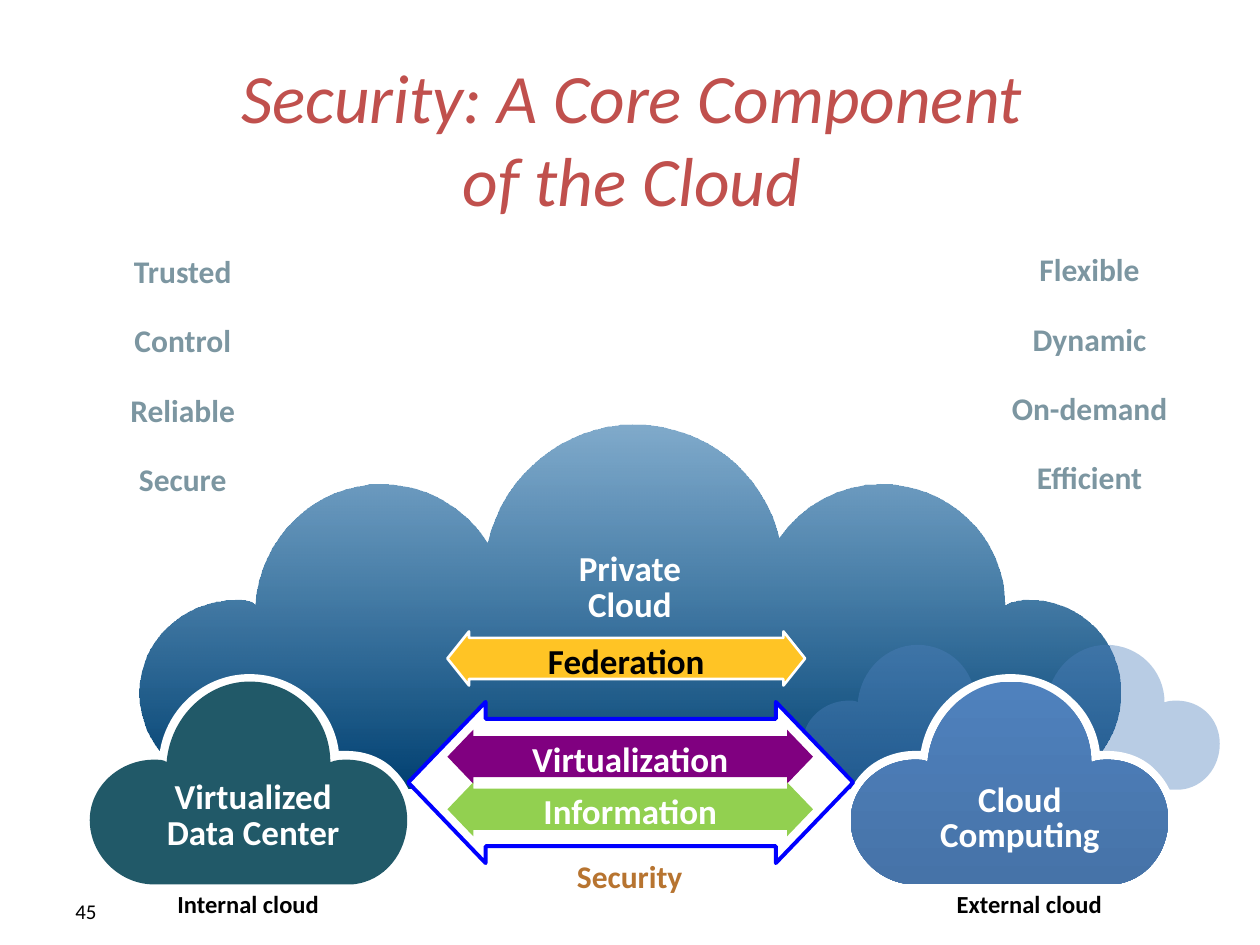
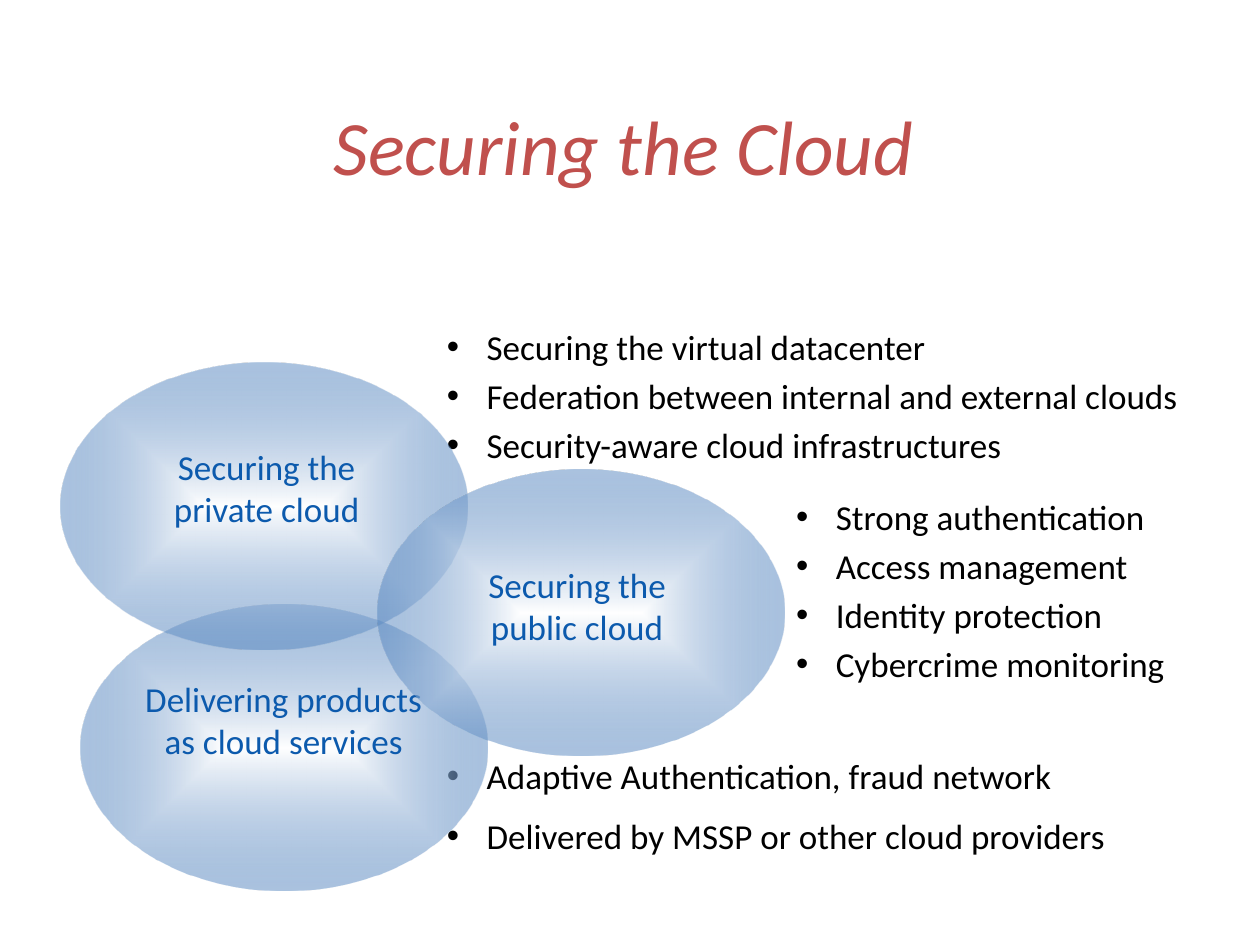
from dataclasses import dataclass

from lxml import etree
from pptx import Presentation
from pptx.dml.color import RGBColor
from pptx.enum.shapes import MSO_SHAPE
from pptx.enum.text import MSO_ANCHOR, PP_ALIGN
from pptx.oxml.ns import nsdecls, qn
from pptx.oxml import parse_xml
from pptx.util import Cm, Pt

LEFT, CENTER = PP_ALIGN.LEFT, PP_ALIGN.CENTER
TOP, MIDDLE = MSO_ANCHOR.TOP, MSO_ANCHOR.MIDDLE
DOUBLE_ARROW, ELLIPSE = MSO_SHAPE.LEFT_RIGHT_ARROW, MSO_SHAPE.OVAL


@dataclass(frozen=True)
class Theme:
    font: str = "Calibri"
    title: str = "C0504D"
    black: str = "000000"
    white: str = "FFFFFF"
    quality: str = "7C96A1"
    security: str = "B77430"
    topic: str = "0C5AAD"
    sky: str = "005596"
    deep_sky: str = "004172"
    external: str = "4F81BD"
    external_dark: str = "4673A8"
    internal: str = "215968"
    frame: str = "0000FF"
    virtualization: str = "800080"
    information: str = "92D050"
    federation: str = "FFC425"
    title_size: float = 44
    long_title_size: float = 39.6
    body_size: float = 20
    quality_size: float = 18
    caption_size: float = 14
    number_size: float = 12


THEME = Theme()
DOWNWARD = '<a:lin ang="5400000" scaled="0"/>'
FROM_CENTRE = ('<a:path path="shape"><a:fillToRect l="50000" t="50000" '
               'r="50000" b="50000"/></a:path>')

# Outlines: width, height, start point, then curves (6 numbers) or lines (2).
PRIVATE_CLOUD = (778, 289, (705, 139), (
    (699, 139, 692, 139, 686, 143), (686, 89, 641, 47, 587, 47),
    (555, 47, 525, 64, 507, 90), (495, 38, 448, 0, 391, 0),
    (337, 0, 288, 40, 276, 94), (259, 66, 227, 47, 191, 47),
    (140, 47, 95, 89, 92, 143), (89, 139, 83, 139, 76, 139),
    (35, 139, 0, 171, 0, 213), (0, 254, 35, 289, 76, 289), (711, 289),
    (749, 286, 778, 251, 778, 213), (778, 171, 746, 139, 705, 139)))
SMALL_CLOUD = (252, 161, (252, 110), (
    (252, 83, 232, 62, 204, 62), (200, 62, 196, 62, 191, 64),
    (191, 28, 162, 0, 127, 0), (93, 0, 64, 28, 61, 64),
    (59, 62, 55, 62, 51, 62), (24, 62, 0, 83, 0, 110),
    (0, 138, 24, 161, 51, 161), (208, 161), (234, 159, 252, 136, 252, 110)))
CLOUD_HALO = (265, 174, (215, 174), (
    (57, 174), (26, 174, 0, 148, 0, 116), (0, 101, 7, 87, 17, 77),
    (27, 67, 42, 61, 57, 61), (62, 61), (68, 26, 98, 0, 133, 0),
    (152, 0, 170, 7, 183, 20), (194, 30, 202, 45, 204, 61), (210, 61),
    (226, 61, 240, 67, 249, 77), (259, 87, 265, 101, 265, 116),
    (265, 131, 260, 144, 251, 155), (242, 165, 230, 173, 215, 174)))


def add_text(slide, box, paragraphs, size, color, bold=False, italic=False,
             align=CENTER, wrap=True, inset=None, anchor=TOP, line_spacing=None,
             gap_before=0, gap_after=0, bullet=None):
    """Add a text box; a newline inside a paragraph is a line break."""
    frame = slide.shapes.add_textbox(*map(Cm, box)).text_frame
    frame.word_wrap = wrap
    frame.vertical_anchor = anchor
    if inset is not None:
        frame.margin_left = frame.margin_right = Cm(inset)
        frame.margin_top = frame.margin_bottom = Cm(inset)
    for index, text in enumerate(paragraphs):
        paragraph = frame.paragraphs[0] if index == 0 else frame.add_paragraph()
        paragraph.alignment = align
        if bullet:
            add_bullet(paragraph, bullet)
        if line_spacing:
            paragraph.line_spacing = line_spacing
        if gap_before and index:
            paragraph.space_before = Pt(gap_before)
        if gap_after:
            paragraph.space_after = Pt(gap_after)
        for number, line in enumerate(text.split("\n")):
            if number:
                paragraph.add_line_break()
            run = paragraph.add_run()
            run.text = line
            run.font.name = THEME.font
            run.font.size = Pt(size)
            run.font.bold = bold
            run.font.italic = italic
            run.font.color.rgb = RGBColor.from_string(color)


def add_bullet(paragraph, mark):
    properties = paragraph._p.get_or_add_pPr()
    properties.set("marL", str(Cm(0.8)))
    properties.set("indent", str(-Cm(0.8)))
    etree.SubElement(properties, qn("a:buFont")).set("typeface", "Arial")
    etree.SubElement(properties, qn("a:buChar")).set("char", mark)


def add_title(slide, box, text, size):
    add_text(slide, box, [text], size, THEME.title, italic=True, anchor=MIDDLE)


def add_label(slide, box, text, size=THEME.body_size, color=THEME.white,
              line_spacing=None, wrap=False):
    add_text(slide, box, [text], size, color, bold=True, wrap=wrap,
             line_spacing=line_spacing)


def add_bullets(slide, box, items, gap_after):
    add_text(slide, box, items, THEME.body_size, THEME.black, align=LEFT,
             gap_after=gap_after, bullet="•")


def add_qualities(slide, box, words):
    add_text(slide, box, words, THEME.quality_size, THEME.quality, bold=True,
             wrap=False, inset=0, gap_before=18)


def paint(shape, fill, opacity=100, line=None, line_width=0):
    shape.shadow.inherit = False
    shape.fill.solid()
    shape.fill.fore_color.rgb = RGBColor.from_string(fill)
    if opacity < 100:
        color = shape._element.spPr.find(qn("a:solidFill"))[0]
        etree.SubElement(color, qn("a:alpha")).set("val", str(opacity * 1000))
    if line:
        shape.line.color.rgb = RGBColor.from_string(line)
        shape.line.width = Pt(line_width)
    else:
        shape.line.fill.background()


def paint_gradient(shape, direction, *stops):
    """Fill with evenly spread stops, each a colour and an opacity percent."""
    shape.shadow.inherit = False
    shape.line.fill.background()
    shape.fill.background()
    marks = "".join(
        f'<a:gs pos="{100000 * index // (len(stops) - 1)}"><a:srgbClr val="{color}">'
        f'<a:alpha val="{opacity * 1000}"/></a:srgbClr></a:gs>'
        for index, (color, opacity) in enumerate(stops))
    properties = shape._element.spPr
    properties.replace(properties.find(qn("a:noFill")), parse_xml(
        f'<a:gradFill {nsdecls("a")} rotWithShape="1"><a:gsLst>{marks}</a:gsLst>'
        f'{direction}</a:gradFill>'))


def bend(line, segment):
    """Replace a line of a freeform by a Bezier curve."""
    curve = etree.Element(qn("a:cubicBezTo"))
    for x, y in zip(segment[::2], segment[1::2]):
        etree.SubElement(curve, qn("a:pt"), x=str(x), y=str(y))
    line.getparent().replace(line, curve)


def add_outline(slide, box, outline):
    outline_width, outline_height, start, segments = outline
    left, top, width, height = map(Cm, box)
    builder = slide.shapes.build_freeform(
        *start, scale=(width / outline_width, height / outline_height))
    builder.add_line_segments([segment[-2:] for segment in segments], close=True)
    shape = builder.convert_to_shape(left, top)
    lines = list(shape._element.spPr.iter(qn("a:lnTo")))
    for line, segment in zip(lines, segments):
        if len(segment) == 6:
            bend(line, segment)
    return shape


def add_haloed_cloud(slide, left):
    """Add a white halo and, on it, the cloud that is returned unpainted."""
    paint(add_outline(slide, (left, 13.59, 6.73, 4.42), CLOUD_HALO), THEME.white)
    return add_outline(slide, (left + 0.16, 13.74, 6.4, 4.09), SMALL_CLOUD)


def add_double_arrow(slide, box, fill, shaft, head, line=None, line_width=0):
    arrow = slide.shapes.add_shape(DOUBLE_ARROW, *map(Cm, box))
    arrow.adjustments[0], arrow.adjustments[1] = shaft, head
    paint(arrow, fill, line=line, line_width=line_width)


def add_layer(slide, top, width, name, name_width, fill, color=THEME.white,
              head=0.48, line=None):
    """Add a named double arrow between the two clouds."""
    left, height = 9.02, 1.09
    add_double_arrow(slide, (left, top, width, height), fill, 0.76, head, line, 1.5)
    name_left = left + (width - name_width) / 2
    add_label(slide, (name_left, top + 0.03, name_width, 1.12), name, color=color)


def add_topic(slide, left, top, text_box, text):
    ellipse = slide.shapes.add_shape(ELLIPSE, Cm(left), Cm(top), Cm(8.2), Cm(5.77))
    paint_gradient(ellipse, FROM_CENTRE, (THEME.white, 100), (THEME.external, 48))
    add_text(slide, text_box, [text], THEME.body_size, THEME.topic)


def build_core_component(slide):
    add_text(slide, (1.27, 17.98, 5.92, 0.84), ["45"], THEME.number_size,
             THEME.black, align=LEFT)
    add_qualities(slide, (2.54, 5.08, 2.29, 5.33),
                  ["Trusted", "Control", "Reliable", "Secure"])
    add_qualities(slide, (20.29, 5.05, 3.35, 5.33),
                  ["Flexible", "Dynamic", "On-demand", "Efficient"])

    private = add_outline(slide, (2.82, 8.56, 19.76, 7.34), PRIVATE_CLOUD)
    paint_gradient(private, DOWNWARD, (THEME.sky, 50), (THEME.deep_sky, 100))
    add_label(slide, (11.25, 11.02, 2.9, 1.7), "Private\nCloud", line_spacing=0.85)

    for left in (16.18, 19.99):
        paint(add_outline(slide, (left, 13, 4.6, 2.92), SMALL_CLOUD),
              THEME.external, opacity=40)
    paint_gradient(add_haloed_cloud(slide, 16.99), DOWNWARD,
                   (THEME.external, 100), (THEME.external_dark, 100))
    add_label(slide, (18.26, 15.67, 4.6, 1.7), "Cloud\nComputing",
              line_spacing=0.85, wrap=True)
    paint(add_haloed_cloud(slide, 1.65), THEME.internal)
    add_label(slide, (2.54, 15.62, 5.13, 1.7), "Virtualized\nData Center",
              line_spacing=0.85, wrap=True)

    add_double_arrow(slide, (8.23, 14.15, 8.97, 3.25), THEME.white, 0.79, 0.48,
                     THEME.frame, 2.25)
    add_label(slide, (11.3, 17.15, 2.79, 1.02), "Security", THEME.quality_size,
              THEME.security)
    add_layer(slide, 14.71, 7.37, "Virtualization", 4.95, THEME.virtualization)
    add_layer(slide, 15.77, 7.37, "Information", 4.42, THEME.information)
    add_layer(slide, 12.73, 7.21, "Federation", 4.17, THEME.federation,
              THEME.black, head=0.4, line=THEME.white)

    for left, width, caption in ((3.2, 3.61, "Internal cloud"),
                                 (18.87, 3.76, "External cloud")):
        add_label(slide, (left, 17.88, width, 0.76), caption, THEME.caption_size,
                  THEME.black, line_spacing=0.85)
    add_title(slide, (4.09, 1.12, 17.3, 3.28),
              "Security: A Core Component of the Cloud", THEME.long_title_size)


def build_securing_the_cloud(slide):
    add_bullets(slide, (8.76, 15.09, 16.64, 2.39),
                ["Adaptive Authentication, fraud network",
                 "Delivered by MSSP or other cloud providers"], gap_after=10)
    add_topic(slide, 1.63, 12.19, (2.34, 13.54, 6.76, 1.96),
              "Delivering products as cloud services")
    add_bullets(slide, (8.76, 6.43, 16.64, 3.15),
                ["Securing the virtual datacenter",
                 "Federation between internal and external clouds",
                 "Security-aware cloud infrastructures"], gap_after=4)
    add_topic(slide, 1.22, 7.32, (2.39, 8.86, 5.97, 1.96),
              "Securing the private cloud")
    add_bullets(slide, (15.8, 9.86, 8.33, 5.05),
                ["Strong authentication", "Access management",
                 "Identity protection", "Cybercrime monitoring"], gap_after=4)
    add_topic(slide, 7.62, 9.47, (9.17, 11.23, 4.93, 1.96),
              "Securing the public cloud")
    add_title(slide, (2.69, 1.52, 19.76, 2.79), "Securing the Cloud",
              THEME.title_size)


def main():
    presentation = Presentation()
    presentation.slide_width, presentation.slide_height = Cm(25.4), Cm(19.05)
    blank = presentation.slide_layouts[6]
    for build in (build_core_component, build_securing_the_cloud):
        build(presentation.slides.add_slide(blank))
    presentation.save("out.pptx")


if __name__ == "__main__":
    main()
